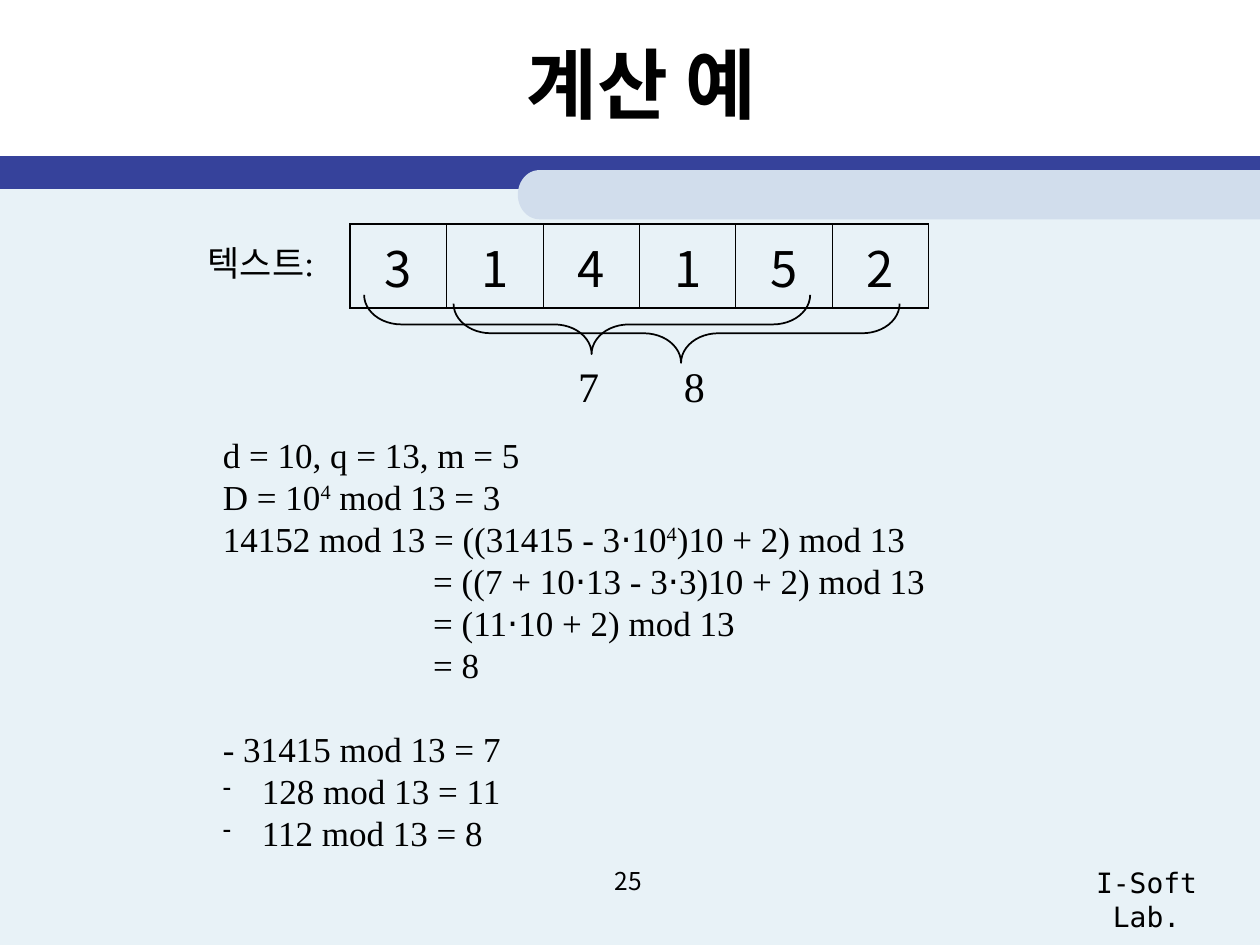
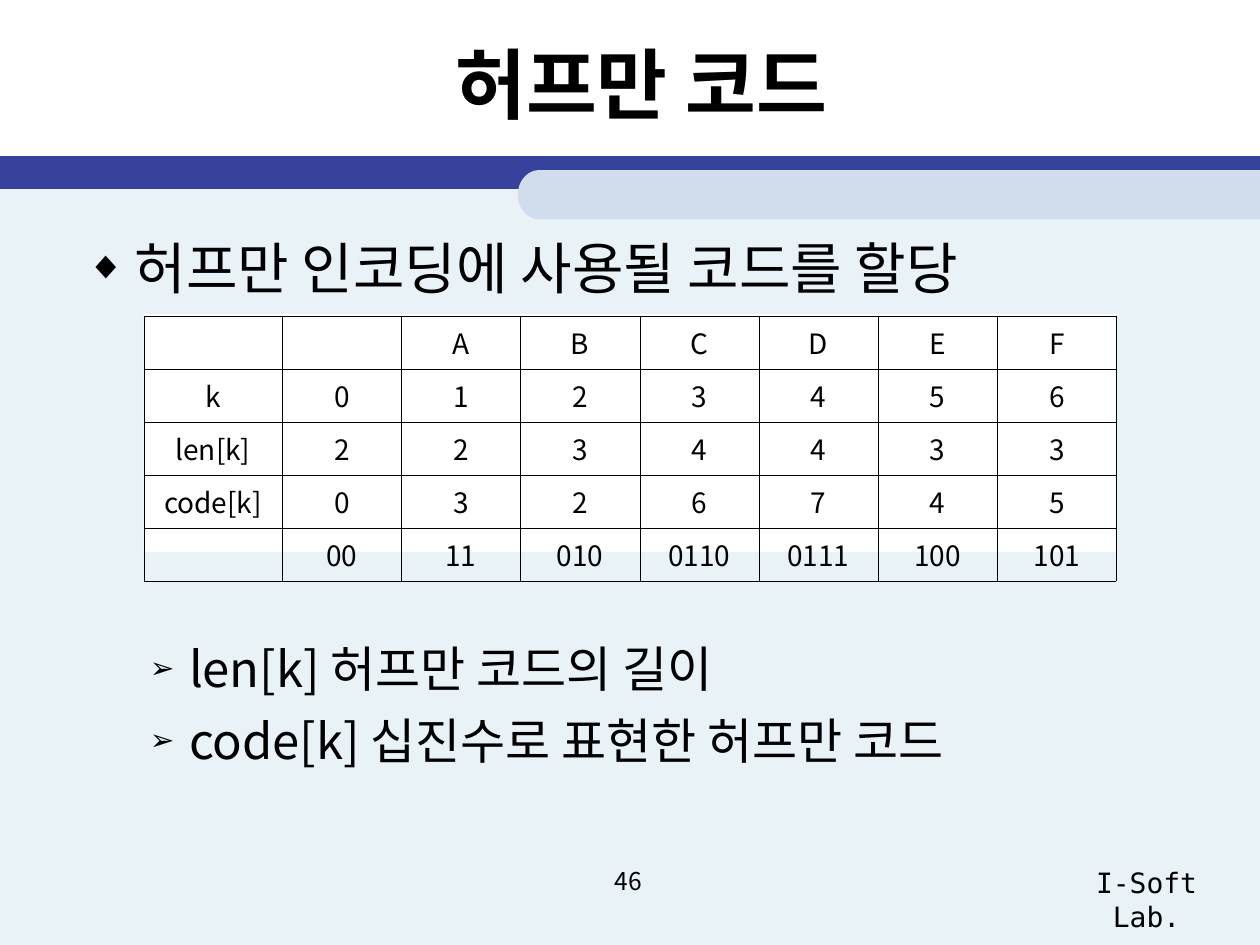
"""Build two algorithm lecture slides: a rolling hash example and a Huffman code table."""
from dataclasses import dataclass
from math import cos, pi, sin
from typing import Optional

from lxml import etree
from pptx import Presentation
from pptx.dml.color import RGBColor
from pptx.enum.shapes import MSO_SHAPE
from pptx.enum.text import MSO_ANCHOR, MSO_AUTO_SIZE, PP_ALIGN
from pptx.oxml.ns import qn
from pptx.util import Emu, Inches, Pt

RECTANGLE, LEFT_BRACE = MSO_SHAPE.RECTANGLE, MSO_SHAPE.LEFT_BRACE
MIDDLE, TOP = MSO_ANCHOR.MIDDLE, MSO_ANCHOR.TOP
LEFT, CENTER = PP_ALIGN.LEFT, PP_ALIGN.CENTER
NO_AUTOFIT = MSO_AUTO_SIZE.NONE

COLORS = {"ink": "000000", "panel": "E8F2F7", "band": "36429B", "tab": "D1DDEC", "paper": "FFFFFF"}
SANS, SERIF, MONO, DOT_FONT = "Noto Sans CJK KR", "Times New Roman", "DejaVu Sans Mono", "Arial"
COLUMNS, ROWS = 100, 75
SLIDE_WIDTH, SLIDE_HEIGHT = Inches(10), Inches(7.5)


@dataclass(frozen=True)
class Box:
    """An area in grid columns and rows."""
    left: float
    top: float
    width: float
    height: float

    def emu(self) -> tuple:
        """Return left, top, width and height as lengths."""
        column, row = SLIDE_WIDTH / COLUMNS, SLIDE_HEIGHT / ROWS
        return (Emu(int(self.left * column)), Emu(int(self.top * row)),
                Emu(int(self.width * column)), Emu(int(self.height * row)))


@dataclass(frozen=True)
class Style:
    """The look of a paragraph."""
    size: float
    face: str = SANS
    bold: bool = False
    align: PP_ALIGN = LEFT
    line: Optional[float] = None


@dataclass(frozen=True)
class Line:
    """A paragraph with its indents in inches, bullet and space before in points."""
    text: str
    margin: float = 0
    hang: float = 0
    bullet: str = ""
    bullet_share: int = 70
    before: float = 0


PANEL = Box(0, 14, 100, 61)
BAND = Box(0, 12.4, 100, 2.6)
TAB = Box(41.1, 13.5, 58.9, 3.9)
LAB = Box(83.1, 68.2, 15.8, 3.7)
PAGE = Box(38.2, 68.2, 23.3, 5.2)
TITLE = Box(5.9, 0.8, 90, 11.5)
BODY = Box(5.9, 17.8, 90, 49.5)

TITLE_STYLE = Style(44, bold=True, align=CENTER)
PAGE_STYLE = Style(14, align=CENTER)
LAB_STYLE = Style(16, MONO, align=CENTER)
DIGIT_STYLE = Style(28, align=CENTER)
CODE_STYLE = Style(16, align=CENTER)
FORMULA_STYLE = Style(20, SERIF, line=24)
HASH_STYLE = Style(24, SERIF, line=28.8)
TOPIC_STYLE = Style(32, line=40)
DETAIL_STYLE = Style(28, line=34)

EQUALS = 1.67
FORMULAS = [
    Line("d = 10, q = 13, m = 5"),
    Line("D = 10^4 mod 13 = 3"),
    Line("14152 mod 13 = ((31415 - 3⋅10^4)10 + 2) mod 13"),
    Line("= ((7 + 10⋅13 - 3⋅3)10 + 2) mod 13", EQUALS),
    Line("= (11⋅10 + 2) mod 13", EQUALS),
    Line("= 8", EQUALS),
    Line("- 31415 mod 13 = 7", before=24),
    Line("128 mod 13 = 11", 0.31, -0.31, "-"),
    Line("112 mod 13 = 8", 0.31, -0.31, "-"),
]
TOPIC = Line("허프만 인코딩에 사용될 코드를 할당", 0.38, -0.38, "◆")
DETAILS = [
    Line("len[k] 허프만 코드의 길이", 0.81, -0.31, "➢", 60, 193),
    Line("code[k] 십진수로 표현한 허프만 코드", 0.81, -0.31, "➢", 60, 7),
]
CODES = [
    ["", "", *"ABCDEF"],
    ["k", *"0123456"],
    ["len[k]", *"2234433"],
    ["code[k]", *"0326745"],
    ["", "00", "11", "010", "0110", "0111", "100", "101"],
]


def rgb(name: str) -> RGBColor:
    """Look up a colour."""
    return RGBColor.from_string(COLORS[name])


def add_runs(paragraph, text: str) -> None:
    """Add text, raising ^4 and setting the product dot in its own font."""
    for piece in text.replace("⋅", "|⋅|").replace("^4", "|^4|").split("|"):
        if not piece:
            continue
        run = paragraph.add_run()
        run.text = piece.lstrip("^")
        if piece.startswith("^"):
            run._r.get_or_add_rPr().set("baseline", "30000")
        elif piece == "⋅":
            run.font.name = DOT_FONT


def write(paragraph, line: Line, style: Style) -> None:
    """Fill and format one paragraph."""
    add_runs(paragraph, line.text)
    paragraph.alignment = style.align
    paragraph.space_before = Pt(line.before)
    if style.line:
        paragraph.line_spacing = Pt(style.line)
    properties = paragraph._p.get_or_add_pPr()
    properties.set("marL", str(Inches(line.margin)))
    properties.set("indent", str(Inches(line.hang)))
    if line.bullet:
        color = etree.SubElement(properties, qn("a:buClr"))
        etree.SubElement(color, qn("a:srgbClr"), val=COLORS["ink"])
        etree.SubElement(properties, qn("a:buSzPct"), val=str(line.bullet_share * 1000))
        etree.SubElement(properties, qn("a:buChar"), char=line.bullet)
    else:
        etree.SubElement(properties, qn("a:buNone"))
    font = paragraph.font
    font.size, font.bold, font.name = Pt(style.size), style.bold, style.face
    font.color.rgb = rgb("ink")
    if style.face == SANS:
        etree.SubElement(properties.find(qn("a:defRPr")), qn("a:ea"), typeface=SANS)


def write_all(frame, lines: list, styles: list) -> None:
    """Write lines into a text frame, one paragraph each."""
    frame.word_wrap = True
    frame.auto_size = NO_AUTOFIT
    for index, (line, style) in enumerate(zip(lines, styles)):
        write(frame.add_paragraph() if index else frame.paragraphs[0], line, style)


def add_text(slide, box: Box, lines: list, style: Style):
    """Add a text box in one style."""
    area = slide.shapes.add_textbox(*box.emu())
    write_all(area.text_frame, lines, [style] * len(lines))
    return area


def place(placeholder, box: Box, anchor: MSO_ANCHOR, lines: list, styles: list) -> None:
    """Move a placeholder and write its text."""
    placeholder.left, placeholder.top, placeholder.width, placeholder.height = box.emu()
    placeholder.text_frame.vertical_anchor = anchor
    write_all(placeholder.text_frame, lines, styles)


def paint(shape, color: str):
    """Give a shape a plain fill."""
    shape.shadow.inherit = False
    shape.fill.solid()
    shape.fill.fore_color.rgb = rgb(color)
    shape.line.fill.background()
    return shape


def add_block(slide, box: Box, color: str):
    """Add a plain rectangle."""
    return paint(slide.shapes.add_shape(RECTANGLE, *box.emu()), color)


def add_tab(slide):
    """Add the pale strip with a rounded left end."""
    left, top, width, height = TAB.emu()
    radius, half, steps = Inches(0.17), height / 2, 24
    angles = [pi / 2 + pi * step / steps for step in range(steps + 1)]
    bend = [(left + radius * (1 + cos(angle)), top + half * (1 - sin(angle))) for angle in angles]
    outline = slide.shapes.build_freeform(left + width, top)
    outline.add_line_segments([*bend, (left + width, top + height)])
    return paint(outline.convert_to_shape(), "tab")


def share_frame(deck, slide) -> None:
    """Draw the bands and lab name, and hand them to the slide master."""
    frame = [add_block(slide, PANEL, "panel"), add_block(slide, BAND, "band"), add_tab(slide),
             add_text(slide, LAB, [Line("I-Soft Lab.")], LAB_STYLE)]
    for index, part in enumerate(frame):
        part.element.xpath(".//p:cNvPr")[0].set("id", str(20 + index))
        deck.slide_master.shapes.element.insert(2 + index, part.element)


def start_slide(deck, layout: int, title: str, page: str):
    """Add a slide with its title and page number."""
    slide = deck.slides.add_slide(deck.slide_layouts[layout])
    place(slide.shapes.title, TITLE, MIDDLE, [Line(title)], [TITLE_STYLE])
    add_text(slide, PAGE, [Line(page)], PAGE_STYLE)
    return slide


def set_borders(cell, widths: dict) -> None:
    """Draw the cell's borders, widths in points by side."""
    properties = cell._tc.get_or_add_tcPr()
    for index, side in enumerate("LRTB"):
        border = etree.Element(qn(f"a:ln{side}"), w=str(Pt(widths[side])))
        fill = etree.SubElement(border, qn("a:solidFill"))
        etree.SubElement(fill, qn("a:srgbClr"), val=COLORS["ink"])
        properties.insert(index, border)


def add_grid(slide, box: Box, rows: list, style: Style, anchor: MSO_ANCHOR,
             outer: float, inner: float, first_column: float) -> None:
    """Add an unfilled table whose columns after the first are equal."""
    last_row, last_column = len(rows) - 1, len(rows[0]) - 1
    table = slide.shapes.add_table(len(rows), len(rows[0]), *box.emu()).table
    table.first_row = table.horz_banding = False
    first = Box(0, 0, first_column, 0).emu()[2]
    for index, column in enumerate(table.columns):
        column.width = Emu((box.emu()[2] - first) // last_column) if index else first
    for r, row in enumerate(rows):
        for c, value in enumerate(row):
            cell = table.cell(r, c)
            cell.vertical_anchor = anchor
            cell.fill.background()
            write(cell.text_frame.paragraphs[0], Line(value), style)
            edges = {"L": c == 0, "R": c == last_column, "T": r == 0, "B": r == last_row}
            set_borders(cell, {side: outer if edge else inner for side, edge in edges.items()})


def add_window(slide, left: float, top: float) -> None:
    """Add a brace under five digits, its tip pointing down."""
    span, depth = 35.4, 4.7
    shift = (span - depth) / 2
    brace = slide.shapes.add_shape(LEFT_BRACE, *Box(left + shift, top - shift, depth, span).emu())
    brace.rotation = 270
    brace.adjustments[0], brace.adjustments[1] = 0.63, 0.51
    brace.shadow.inherit = False
    brace.fill.background()
    brace.line.color.rgb = rgb("ink")
    brace.line.width = Pt(1)


def build_hash_slide(deck) -> None:
    """Show how the hash of the next window follows from the last one."""
    slide = start_slide(deck, 5, "계산 예", "25")
    share_frame(deck, slide)
    add_grid(slide, Box(27.8, 17.8, 45.9, 6.6), [list("314152")], DIGIT_STYLE, TOP, 1.08, 0.45, 7.65)
    add_text(slide, Box(15.5, 18.7, 12, 4.4), [Line("텍스트:")], FORMULA_STYLE)
    for left, top in ((28.9, 23.4), (36, 24.1)):
        add_window(slide, left, top)
    for left, remainder in ((44.9, "7"), (53.3, "8")):
        add_text(slide, Box(left, 28.1, 3.6, 5), [Line(remainder)], HASH_STYLE)
    add_text(slide, Box(16.7, 33.9, 62, 34.4), FORMULAS, FORMULA_STYLE)


def build_huffman_slide(deck) -> None:
    """Show the code assigned to each letter."""
    slide = start_slide(deck, 1, "허프만 코드", "46")
    place(slide.placeholders[1], BODY, TOP, [TOPIC, *DETAILS],
          [TOPIC_STYLE, DETAIL_STYLE, DETAIL_STYLE])
    add_block(slide, Box(11.4, 24.9, 77.2, 18.9), "paper")
    add_grid(slide, Box(11.4, 25.1, 77.2, 21), CODES, CODE_STYLE, MIDDLE, 0.06, 0.06, 11)


def main() -> None:
    """Build and save the deck."""
    deck = Presentation()
    deck.slide_width, deck.slide_height = SLIDE_WIDTH, SLIDE_HEIGHT
    build_hash_slide(deck)
    build_huffman_slide(deck)
    deck.save("out.pptx")


if __name__ == "__main__":
    main()
